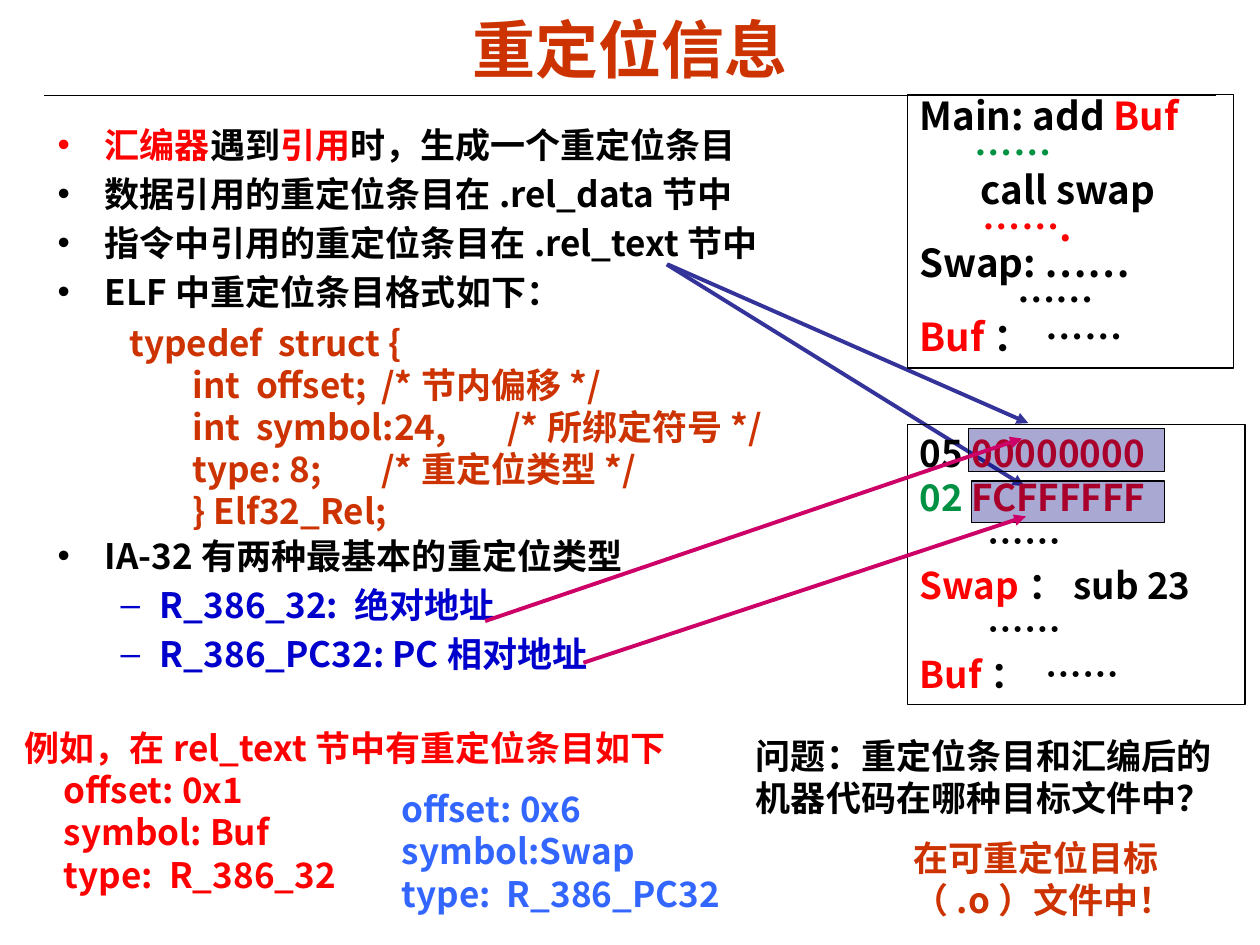
"""Build the slide on relocation entries in object files."""
from dataclasses import dataclass

from lxml.etree import SubElement
from pptx import Presentation
from pptx.dml.color import RGBColor as Rgb
from pptx.enum.shapes import MSO_CONNECTOR as Connector, MSO_SHAPE as Preset
from pptx.enum.text import MSO_ANCHOR as Anchor, MSO_AUTO_SIZE as AutoSize, PP_ALIGN as Align
from pptx.oxml.ns import qn
from pptx.util import Cm, Pt


@dataclass(frozen=True)
class Theme:
    black: str = "000000"
    red: str = "FF0000"
    rust: str = "CC3300"
    green: str = "009242"
    blue: str = "0000CC"
    sky: str = "3366FF"
    indigo: str = "333399"
    magenta: str = "CC0066"
    navy: str = "000080"
    font: str = "Noto Sans CJK SC"
    latin: str = "Arial"
    title: int = 36
    text: int = 20
    machine: int = 21
    source: int = 22
    leading: float = 1.2
    tight: float = 0.96
    bullet_gap: int = 4
    code_gap: int = 127
    thin: float = 0.75
    thick: float = 2.25


@dataclass(frozen=True)
class Line:
    runs: tuple
    indent: float = 0
    tabs: tuple = ()
    bullet: str = ""
    level: int = 0
    hanging: float = 0
    before: float = 0


THEME = Theme()
BLACK, RED, RUST, GREEN = THEME.black, THEME.red, THEME.rust, THEME.green


def line(text, color, **layout):
    return Line(((text, color),), **layout)


def point(*runs, before=THEME.bullet_gap):
    return Line(runs, 0.95, bullet="•", hanging=0.95, before=before)


def subpoint(text):
    return line(text, THEME.blue, indent=2.06, bullet="–", level=1, hanging=0.79,
                before=THEME.bullet_gap)


TITLE = [line("重定位信息", RUST)]
POINTS = [
    point(("汇编器", RED), ("遇到", BLACK), ("引用", RED), ("时，生成一个重定位条目", BLACK), before=0),
    point(("数据引用的重定位条目在.rel_data节中", BLACK)),
    point(("指令中引用的重定位条目在.rel_text节中", BLACK)),
    point(("ELF中重定位条目格式如下：", BLACK)),
    point(("IA-32有两种最基本的重定位类型", BLACK), before=THEME.code_gap),
    subpoint("R_386_32: 绝对地址"),
    subpoint("R_386_PC32: PC相对地址"),
]
STRUCT = [
    line("typedef  struct {", RUST),
    line("\tint  offset;\t/*节内偏移*/", RUST, tabs=(2.54, 7.66)),
    line("\tint  symbol:24,\t/*所绑定符号*/", RUST, tabs=(2.54, 7.98)),
    line("\ttype: 8;\t/*重定位类型*/", RUST, tabs=(3.2, 6.94)),
    line("\t} Elf32_Rel;", RUST, tabs=(2.54,)),
]
BUF_ENTRY = [line("例如，在rel_text节中有重定位条目如下", RED)] + [
    line(text, RED, indent=0.79) for text in ("offset: 0x1", "symbol: Buf", "type:  R_386_32")]
SWAP_ENTRY = [line(text, THEME.sky) for text in ("offset: 0x6", "symbol:Swap", "type:  R_386_PC32")]
QUESTION = [line("问题：重定位条目和汇编后的机器代码在哪种目标文件中？", BLACK)]
ANSWER = [line("在可重定位目标（.o）文件中！", RUST)]
MACHINE_CODE = [
    Line((("05", BLACK), (" 00000000", RED))),
    Line((("02 ", GREEN), ("FCFFFFFF", RED))),
    line("……", BLACK, indent=1.37),
    Line((("Swap", RED), ("：sub 23", BLACK))),
    line("……", BLACK, indent=1.37),
    Line((("Buf", RED), ("：\t……", BLACK)), tabs=(2.52,)),
]
SOURCE_CODE = [
    Line((("Main: add ", BLACK), ("Buf", RED))),
    line("……", GREEN, indent=1.11),
    line("call swap", BLACK, indent=1.23),
    line("…….", RED, indent=1.27),
    line("Swap: ……", BLACK),
    line("……", BLACK, indent=1.97),
    Line((("Buf", RED), ("：\t……", BLACK)), tabs=(2.64,)),
]
TEXTS = [
    (STRUCT, (2.36, 6.35, 13.92, 4.52), THEME.font),
    (BUF_ENTRY, (0.25, 14.53, 13.61, 3.63), THEME.font),
    (SWAP_ENTRY, (7.85, 15.76, 10.31, 2.79), THEME.font),
    (QUESTION, (14.99, 14.68, 10.24, 1.96), THEME.latin),
    (ANSWER, (18.16, 16.74, 5.99, 1.96), THEME.font),
]
LISTINGS = [
    (MACHINE_CODE, (18.29, 8.56, 6.81, 5.64), THEME.machine, THEME.leading),
    (SOURCE_CODE, (18.29, 1.91, 6.58, 5.51), THEME.source, THEME.tight),
]
HIGHLIGHTS = [(19.53, 8.64, 3.94, 0.86), (19.58, 9.7, 3.89, 0.84)]
SECTION_ARROWS = [(13.44, 5.33, 20.65, 9.8), (13.46, 5.33, 20.73, 8.53)]
TYPE_ARROWS = [(9.78, 12.52, 20.6, 8.84), (11.76, 13.36, 20.68, 10.41)]
TITLE_RULE = (0.89, 1.93, 24.51, 1.93)


def place(shape, box):
    shape.left, shape.top, shape.width, shape.height = map(Cm, box)


def format_paragraph(paragraph, item, size, leading):
    paragraph.level = item.level
    properties = paragraph._p.get_or_add_pPr()
    properties.set("marL", str(Cm(item.indent)))
    properties.set("indent", str(-Cm(item.hanging)))
    if item.bullet:
        SubElement(properties, qn("a:buFont"), typeface=THEME.latin)
        SubElement(properties, qn("a:buChar"), char=item.bullet)
    else:
        SubElement(properties, qn("a:buNone"))
    if item.tabs:
        stops = SubElement(properties, qn("a:tabLst"))
        for position in item.tabs:
            SubElement(stops, qn("a:tab"), pos=str(Cm(position)), algn="l")
    paragraph.line_spacing = Pt(size * leading)
    paragraph.space_before = Pt(item.before)


def write(shape, lines, size=THEME.text, font=THEME.font, leading=THEME.leading,
          align=Align.LEFT, anchor=Anchor.TOP):
    frame = shape.text_frame
    frame.word_wrap = True
    frame.auto_size = AutoSize.NONE
    frame.vertical_anchor = anchor
    for number, item in enumerate(lines):
        paragraph = frame.add_paragraph() if number else frame.paragraphs[0]
        format_paragraph(paragraph, item, size, leading)
        paragraph.alignment = align
        for text, color in item.runs:
            run = paragraph.add_run()
            run.text = text
            run.font.name = font
            run.font.size = Pt(size)
            run.font.bold = True
            run.font.color.rgb = Rgb.from_string(color)
            SubElement(run._r.get_or_add_rPr(), qn("a:ea"), typeface=THEME.font)


def add_line(slide, ends, color, width, arrow=False):
    connector = slide.shapes.add_connector(Connector.STRAIGHT, *map(Cm, ends))
    connector.line.color.rgb = Rgb.from_string(color)
    connector.line.width = Pt(width)
    if arrow:
        SubElement(connector.line._get_or_add_ln(), qn("a:tailEnd"), type="triangle")
    SubElement(connector._element.spPr, qn("a:effectLst"))


def add_rectangle(slide, box, fill=None, opacity=100):
    shape = slide.shapes.add_shape(Preset.RECTANGLE, *map(Cm, box))
    shape.shadow.inherit = False
    shape.line.color.rgb = Rgb.from_string(BLACK)
    shape.line.width = Pt(THEME.thin)
    if fill:
        shape.fill.solid()
        shape.fill.fore_color.rgb = Rgb.from_string(fill)
        color = shape._element.spPr.find(".//" + qn("a:srgbClr"))
        SubElement(color, qn("a:alpha"), val=str(opacity * 1000))
    else:
        shape.fill.background()
    return shape


def main():
    presentation = Presentation()
    presentation.slide_width, presentation.slide_height = Cm(25.4), Cm(19.05)
    slide = presentation.slides.add_slide(presentation.slide_layouts[1])
    title, body = slide.shapes.title, slide.placeholders[1]
    place(title, (1.27, 0.2, 22.86, 1.55))
    write(title, TITLE, THEME.title, THEME.latin, align=Align.CENTER, anchor=Anchor.MIDDLE)
    place(body, (0.91, 2.36, 23.67, 12.62))
    write(body, POINTS)
    add_line(slide, TITLE_RULE, BLACK, THEME.thin)
    for lines, box, font in TEXTS:
        write(slide.shapes.add_textbox(*map(Cm, box)), lines, font=font)
    for ends in SECTION_ARROWS:
        add_line(slide, ends, THEME.indigo, THEME.thick, arrow=True)
    for lines, box, size, leading in LISTINGS:
        write(add_rectangle(slide, box), lines, size, leading=leading)
    for box in HIGHLIGHTS:
        add_rectangle(slide, box, THEME.navy, 34)
    for ends in TYPE_ARROWS:
        add_line(slide, ends, THEME.magenta, THEME.thick, arrow=True)
    presentation.save("out.pptx")


if __name__ == "__main__":
    main()
